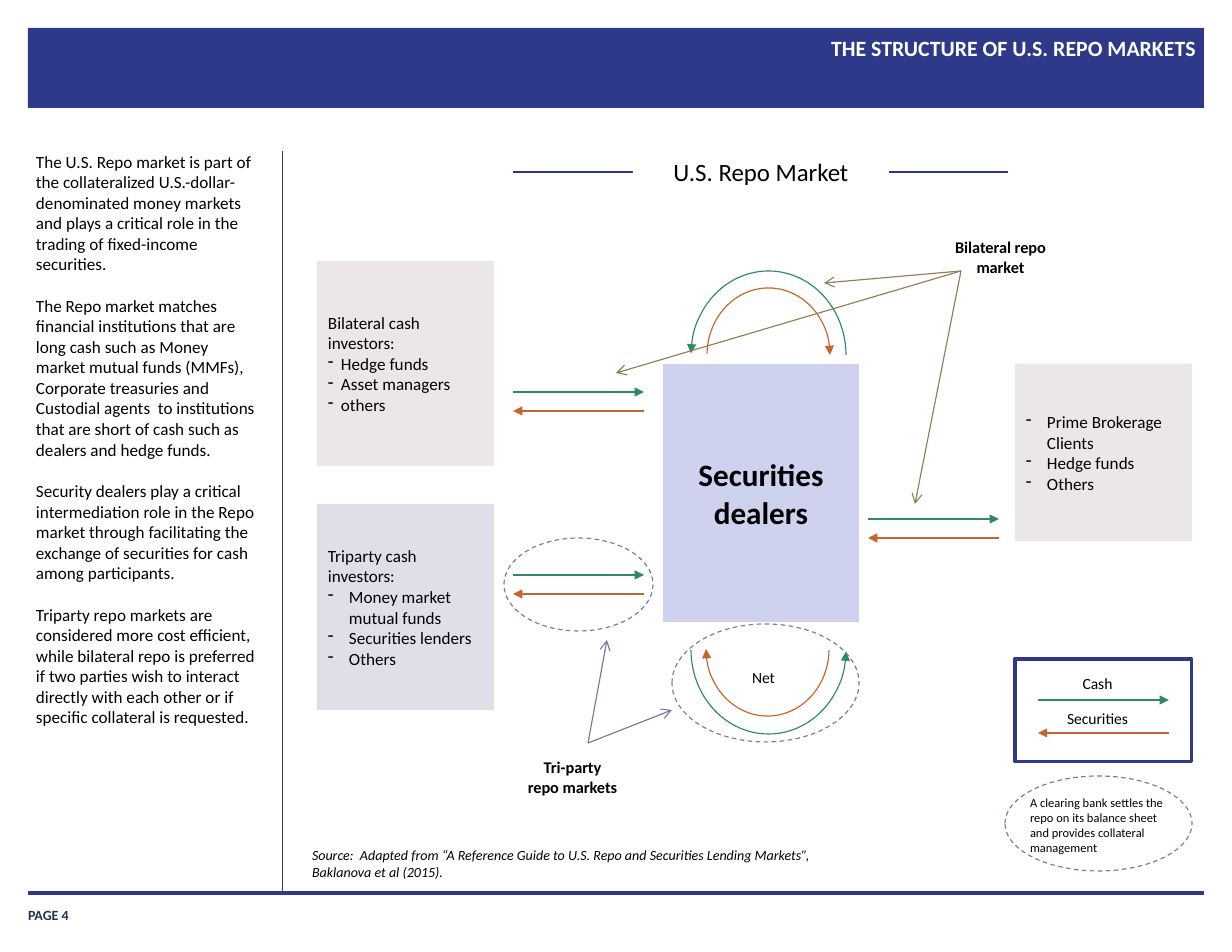
from lxml import etree
from pptx import Presentation
from pptx.dml.color import RGBColor
from pptx.enum.dml import MSO_LINE
from pptx.enum.shapes import MSO_CONNECTOR, MSO_SHAPE
from pptx.enum.text import MSO_ANCHOR, PP_ALIGN
from pptx.oxml.ns import qn
from pptx.util import Emu, Pt

RECTANGLE, ARC, ELLIPSE = MSO_SHAPE.RECTANGLE, MSO_SHAPE.ARC, MSO_SHAPE.OVAL
STRAIGHT, DASH = MSO_CONNECTOR.STRAIGHT, MSO_LINE.DASH
LEFT, CENTER, RIGHT = PP_ALIGN.LEFT, PP_ALIGN.CENTER, PP_ALIGN.RIGHT
TOP, MIDDLE, BOTTOM = MSO_ANCHOR.TOP, MSO_ANCHOR.MIDDLE, MSO_ANCHOR.BOTTOM

FONT = "Calibri"
NAVY, WHITE, BLACK = "2E398A", "FFFFFF", "000000"
CASH, SECURITIES = "2E8A60", "C6642E"
TRIPARTY, BILATERAL = "77799D", "937D57"

TITLE = "THE STRUCTURE OF U.S. REPO MARKETS"
BODY = [
    "The U.S. Repo market is part of the collateralized U.S.-dollar-denominated money markets "
    "and plays a critical role in the trading of fixed-income securities.",
    "The Repo market matches financial institutions that are long cash such as Money market "
    "mutual funds (MMFs), Corporate treasuries and Custodial agents  to institutions that are "
    "short of cash such as dealers and hedge funds.",
    "Security dealers play a critical intermediation role in the Repo market through "
    "facilitating the exchange of securities for cash among participants.",
    "Triparty repo markets are considered more cost efficient, while bilateral repo is preferred "
    "if two parties wish to interact directly with each other or if specific collateral is requested.",
]
SOURCE = ("Source:  Adapted from “A Reference Guide to U.S. Repo and Securities Lending Markets”, "
          "Baklanova et al (2015).")
CLEARING_NOTE = ("A clearing bank settles the repo on its balance sheet and provides "
                 "collateral management")

PARTICIPANTS = [
    ((317, 261, 177, 205), "EAE7E6", ["Bilateral cash investors:"],
     ["Hedge funds", "Asset managers", "others"], 13),
    ((317, 504, 177, 206), "DEDFE7", ["Triparty cash investors:"],
     ["Money market mutual funds", "Securities lenders", "Others"], 21),
    ((1015, 364, 177, 177), "EAE7E6", [],
     ["Prime Brokerage Clients", "Hedge funds", "Others"], 21),
]
ARCS = [
    ((691, 271, 155, 168), 0, CASH, "headEnd"),
    ((707, 288, 123, 134), 0, SECURITIES, "tailEnd"),
    ((691, 566, 155, 168), 180, CASH, "headEnd"),
    ((706, 582, 123, 134), 180, SECURITIES, "tailEnd"),
]
FLOW_LENGTH = 131
FLOWS = [(513, 392, 411), (513, 575, 594), (868, 519, 538), (1038, 700, 733)]
CLEARING_ELLIPSES = [(504, 538, 149, 93), (1005, 776, 187, 95), (672, 624, 187, 118)]
POINTERS = [
    ((588, 743), [(607, 640), (672, 710)], TRIPARTY),
    ((961, 271), [(824, 283), (616, 373), (915, 504)], BILATERAL),
]
LABEL_WIDTH = 119
LABELS = [
    (1038, 668, 30, ["Cash"], 10, False),
    (1038, 703, 30, ["Securities"], 10, False),
    (704, 662, 30, ["Net"], 10, False),
    (941, 232, 50, ["Bilateral repo market"], 10.5, True),
    (513, 752, 50, ["Tri-party", "repo markets"], 10.5, True),
]


def px(value):
    return Emu(round(value * 914400 / 112))


def color(value):
    return RGBColor.from_string(value)


def style_line(line, line_color, width):
    line.color.rgb = color(line_color)
    line.width = Pt(width)


def add_arrowhead(shape, end, kind):
    line = shape.line._get_or_add_ln()
    etree.SubElement(line, qn("a:" + end), type=kind)


def add_shape(kind, box, fill=None, line=None, width=0.75):
    shape = slide.shapes.add_shape(kind, *map(px, box))
    shape.shadow.inherit = False
    if fill:
        shape.fill.solid()
        shape.fill.fore_color.rgb = color(fill)
    else:
        shape.fill.background()
    if line:
        style_line(shape.line, line, width)
    else:
        shape.line.fill.background()
    return shape


def add_line(start, end, line_color, width=0.75, arrow=None, arrow_end="tailEnd"):
    connector = slide.shapes.add_connector(STRAIGHT, *map(px, start + end))
    style_line(connector.line, line_color, width)
    etree.SubElement(connector._element.spPr, qn("a:effectLst"))
    if arrow:
        add_arrowhead(connector, arrow_end, arrow)
    return connector


def add_bullet(paragraph, indent):
    properties = paragraph._p.get_or_add_pPr()
    properties.set("marL", str(px(indent)))
    properties.set("indent", str(-px(indent)))
    etree.SubElement(properties, qn("a:buChar"), char="-")


def write(shape, texts, size, text_color=BLACK, bold=False, italic=False, align=LEFT,
          anchor=TOP, bullets=(), indent=0, gap=0, spacing=None):
    frame = shape.text_frame
    frame.word_wrap = True
    frame.vertical_anchor = anchor
    lines = [(text, False) for text in texts] + [(text, True) for text in bullets]
    for index, (text, bulleted) in enumerate(lines):
        paragraph = frame.add_paragraph() if index else frame.paragraphs[0]
        if bulleted:
            add_bullet(paragraph, indent)
        paragraph.alignment = align
        if index and gap:
            paragraph.space_before = Pt(gap)
        if spacing:
            paragraph.line_spacing = spacing
        run = paragraph.add_run()
        run.text = text
        run.font.name = FONT
        run.font.size = Pt(size)
        run.font.bold = bold
        run.font.italic = italic
        run.font.color.rgb = color(text_color)


def add_text(box, texts, size, inset=True, **options):
    text_box = slide.shapes.add_textbox(*map(px, box))
    if not inset:
        frame = text_box.text_frame
        frame.margin_left = frame.margin_right = frame.margin_top = frame.margin_bottom = 0
    write(text_box, texts, size, **options)


presentation = Presentation()
presentation.slide_width, presentation.slide_height = px(1232), px(952)
slide = presentation.slides.add_slide(presentation.slide_layouts[6])

add_shape(RECTANGLE, (28, 28, 1176, 80), NAVY)
add_text((28, 897, 102, 26), ["PAGE 4"], 9, inset=False, text_color="203353", bold=True,
         anchor=BOTTOM)
add_line((28, 893), (1204, 893), NAVY, 2.25)
add_line((282, 151), (282, 894), NAVY, 0.5)
add_text((355, 32, 841, 75), [TITLE], 14, inset=False, text_color=WHITE, bold=True,
         align=RIGHT, spacing=1.1)
add_text((36, 151, 225, 726), BODY, 11, inset=False, gap=13.4)

dealers = add_shape(RECTANGLE, (663, 364, 196, 258), "CED2EF")
write(dealers, ["Securities", "dealers"], 20, bold=True, align=CENTER, anchor=MIDDLE)

for box, fill, heading, members, indent in PARTICIPANTS:
    participant = add_shape(RECTANGLE, box, fill)
    write(participant, heading, 11, anchor=MIDDLE, bullets=members, indent=indent)

for box, rotation, line_color, arrow_end in ARCS:
    arc = add_shape(ARC, box, line=line_color)
    arc.adjustments[0], arc.adjustments[1] = 108.683, 0
    arc.rotation = rotation
    add_arrowhead(arc, arrow_end, "triangle")

add_shape(RECTANGLE, (1015, 659, 177, 103), line=NAVY, width=2)
for left, cash_y, securities_y in FLOWS:
    right = left + FLOW_LENGTH
    add_line((left, cash_y), (right, cash_y), CASH, arrow="triangle")
    add_line((left, securities_y), (right, securities_y), SECURITIES,
             arrow="triangle", arrow_end="headEnd")

for left, top, height, texts, size, bold in LABELS:
    add_text((left, top, LABEL_WIDTH, height), texts, size, bold=bold, align=CENTER)

for box in CLEARING_ELLIPSES:
    ellipse = add_shape(ELLIPSE, box, line=TRIPARTY)
    ellipse.line.dash_style = DASH

for start, targets, line_color in POINTERS:
    for target in targets:
        add_line(start, target, line_color, arrow="arrow")

add_line((513, 172), (1008, 172), "2B3689")
heading_box = add_shape(RECTANGLE, (633, 151, 256, 41), WHITE)
write(heading_box, ["U.S. Repo Market"], 16, align=CENTER)
add_text((301, 841, 567, 45), [SOURCE], 9, italic=True)
add_text((1019, 790, 157, 72), [CLEARING_NOTE], 8)

presentation.save("out.pptx")
